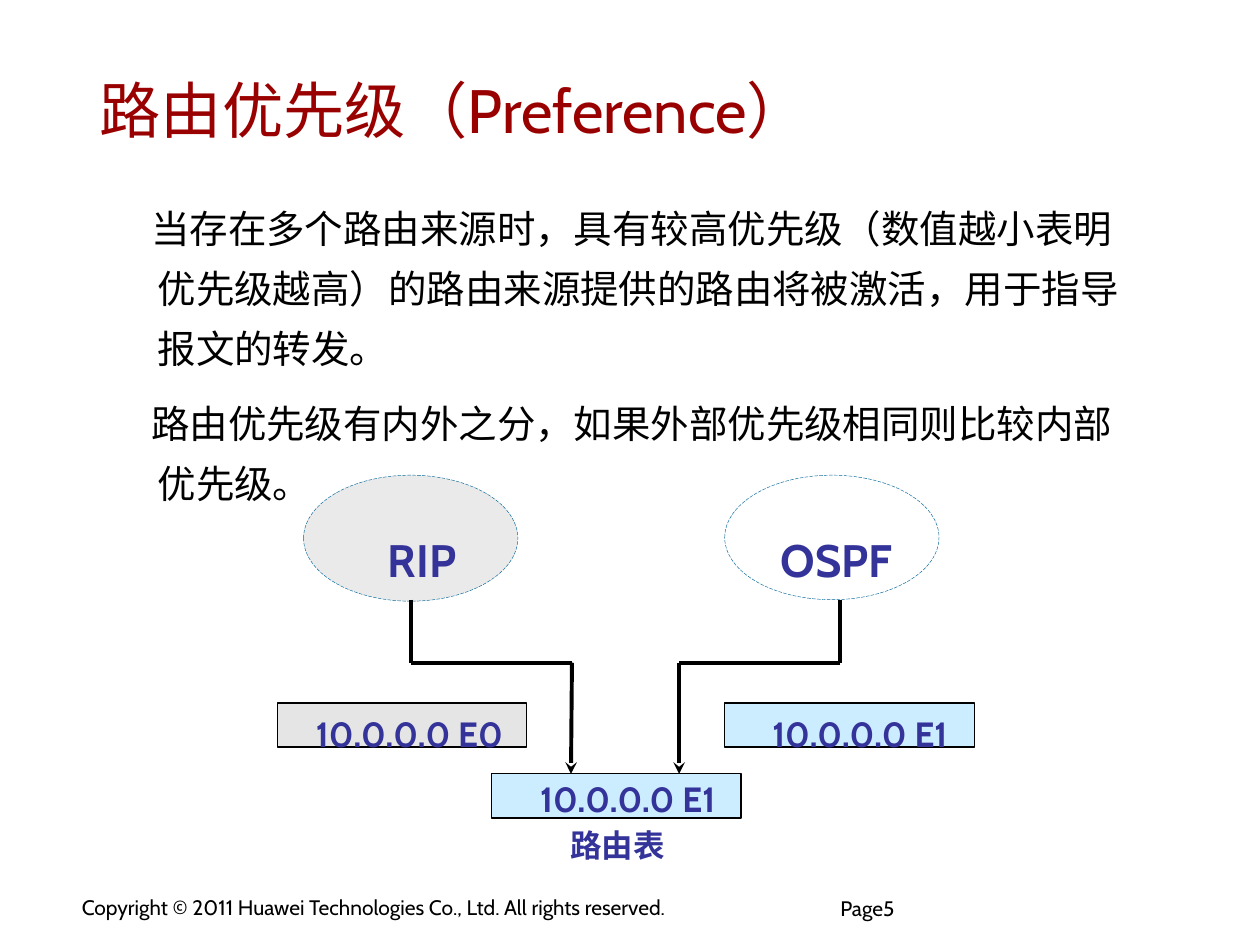
"""Build a slide on route preference with a RIP and OSPF diagram."""
from lxml import etree
from pptx import Presentation
from pptx import util as u
from pptx.dml.color import RGBColor
from pptx.enum import dml, shapes, text
from pptx.oxml.ns import qn


def colour(value):
    return RGBColor.from_string(value)


def write(box, lines, size, ink="000000", bold=False, spacing=1.0, inset=(0.23, 0.1)):
    frame = box.text_frame
    frame.word_wrap = True
    frame.auto_size = text.MSO_AUTO_SIZE.NONE
    frame.margin_left = frame.margin_right = u.Cm(inset[0])
    frame.margin_top = frame.margin_bottom = u.Cm(inset[1])
    frame.text = "\n".join(lines)
    for para in frame.paragraphs:
        para.alignment = text.PP_ALIGN.LEFT
        para.line_spacing = spacing
        para.font.name = "Cabin"
        para.font.size = u.Pt(size)
        para.font.bold = bold
        para.font.color.rgb = colour(ink)


deck = Presentation()
deck.slide_width, deck.slide_height = u.Cm(25.4), u.Cm(19.05)
page = deck.slides.add_slide(deck.slide_layouts[5])

title = page.shapes.title
title.left, title.top, title.width, title.height = map(u.Cm, (1.78, 0.99, 21.46, 2.41))
title.text_frame.vertical_anchor = text.MSO_ANCHOR.MIDDLE
write(title, ["路由优先级（Preference）"], 35, "990000")

copyright_line = page.shapes.add_textbox(*map(u.Cm, (1.42, 17.93, 14.15, 0.74)))
write(copyright_line, ["Copyright © 2011 Huawei Technologies Co., Ltd. All rights reserved."], 12)
page_number = page.shapes.add_textbox(*map(u.Cm, (16.94, 18.14, 4.22, 0.91)))
write(page_number, ["Page5"], 12, spacing=0.85, inset=(0, 0))

body = page.shapes.add_textbox(*map(u.Cm, (2.11, 3.76, 21.01, 7.54)))
write(body, [
    "当存在多个路由来源时，具有较高优先级（数值越小表明优先级越高）的路由来源提供的路由将被激活，用于指导报文的转发。",
    "路由优先级有内外之分，如果外部优先级相同则比较内部优先级。",
], 22, spacing=1.3)
body.text_frame.paragraphs[1].space_before = u.Pt(8.2)
for para in body.text_frame.paragraphs:
    properties = para._p.get_or_add_pPr()
    properties.set("marL", str(u.Cm(0.84)))
    properties.set("indent", str(u.Cm(-0.13)))

oval, rectangle = shapes.MSO_SHAPE.OVAL, shapes.MSO_SHAPE.RECTANGLE
for kind, left, top, width, height, fill, alpha in [
    (oval, 6.12, 9.58, 4.32, 2.54, "CCCCCC", 40),
    (oval, 14.61, 9.58, 4.32, 2.51, None, 100),
    (rectangle, 5.59, 14.17, 5.03, 0.89, "CCCCCC", 50),
    (rectangle, 9.91, 15.6, 5.03, 0.89, "CCECFF", 100),
    (rectangle, 14.61, 14.17, 5.03, 0.89, "CCECFF", 100),
]:
    node = page.shapes.add_shape(kind, *map(u.Cm, (left, top, width, height)))
    node.shadow.inherit = False
    if fill:
        node.fill.solid()
        node.fill.fore_color.rgb = colour(fill)
    else:
        node.fill.background()
    if alpha < 100:
        tint = node._element.spPr.find(".//" + qn("a:srgbClr"))
        etree.SubElement(tint, qn("a:alpha"), val=str(alpha * 1000))
    node.line.color.rgb = colour("006699" if kind == oval else "000000")
    node.line.width = u.Pt(0.25 if kind == oval else 0.75)
    if kind == oval:
        node.line.dash_style = dml.MSO_LINE.LONG_DASH

for label, left, top, width, height, size in [
    ("RIP", 7.57, 10.16, 2.16, 1.8, 26),
    ("OSPF", 15.49, 10.16, 3.05, 1.8, 26),
    ("10.0.0.0 E0", 6.12, 13.89, 4.32, 1.45, 20),
    ("10.0.0.0 E1", 10.64, 15.21, 4.5, 1.45, 20),
    ("10.0.0.0 E1", 15.32, 13.89, 4.5, 1.45, 20),
    ("路由表", 11.25, 16.21, 3.05, 1.32, 18),
]:
    box = page.shapes.add_textbox(*map(u.Cm, (left, top, width, height)))
    write(box, [label], size, "333399", True, 1.4, (0.25, 0.13))

source_y, bend_y, table_y = 12.09, 13.36, 15.6
for source_x, bend_x, table_x in [(8.28, 11.53, 11.51), (16.94, 13.69, 13.69)]:
    route = [(source_x, source_y), (source_x, bend_y), (bend_x, bend_y), (table_x, table_y)]
    for start, end in zip(route, route[1:]):
        link = page.shapes.add_connector(shapes.MSO_CONNECTOR.STRAIGHT, *map(u.Cm, start + end))
        link.line.color.rgb = colour("000000")
        link.line.width = u.Pt(2.25)
        if end == route[-1]:
            etree.SubElement(link.line._get_or_add_ln(), qn("a:tailEnd"), type="stealth")
        etree.SubElement(link._element.spPr, qn("a:effectLst"))

deck.save("out.pptx")
